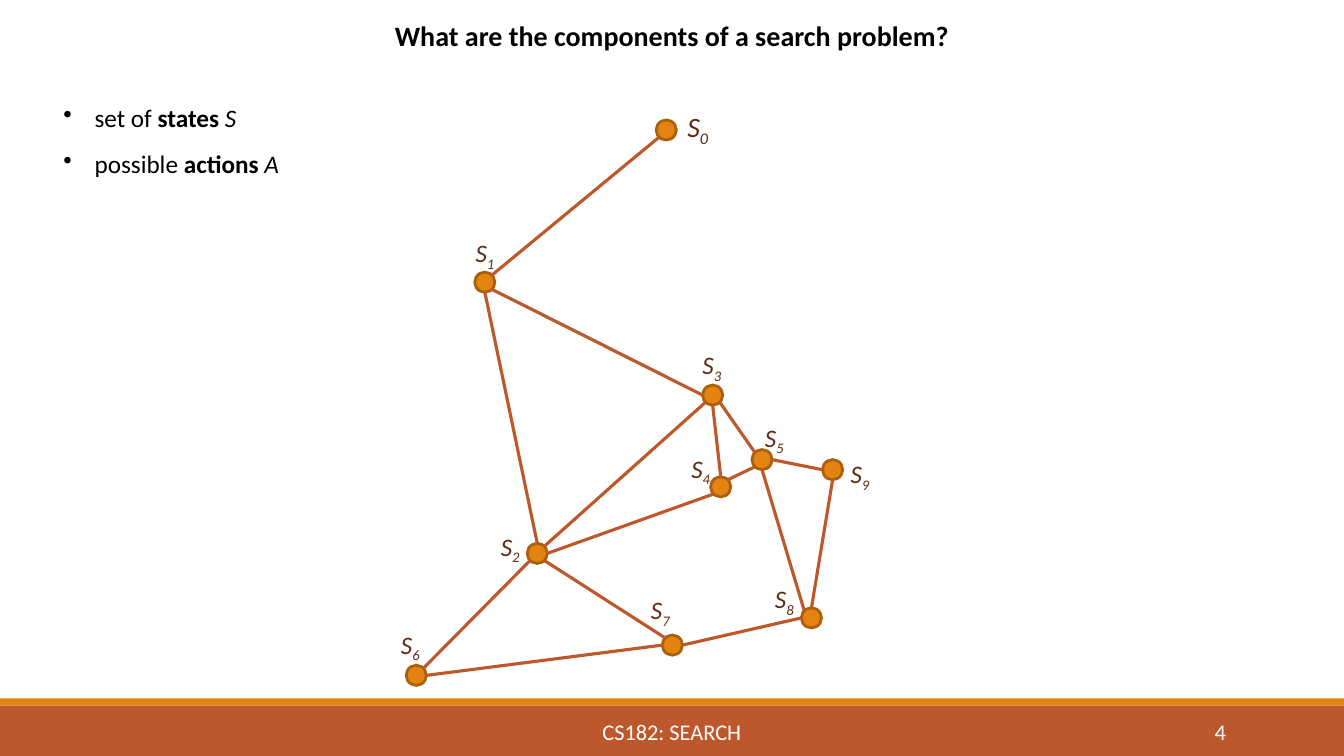
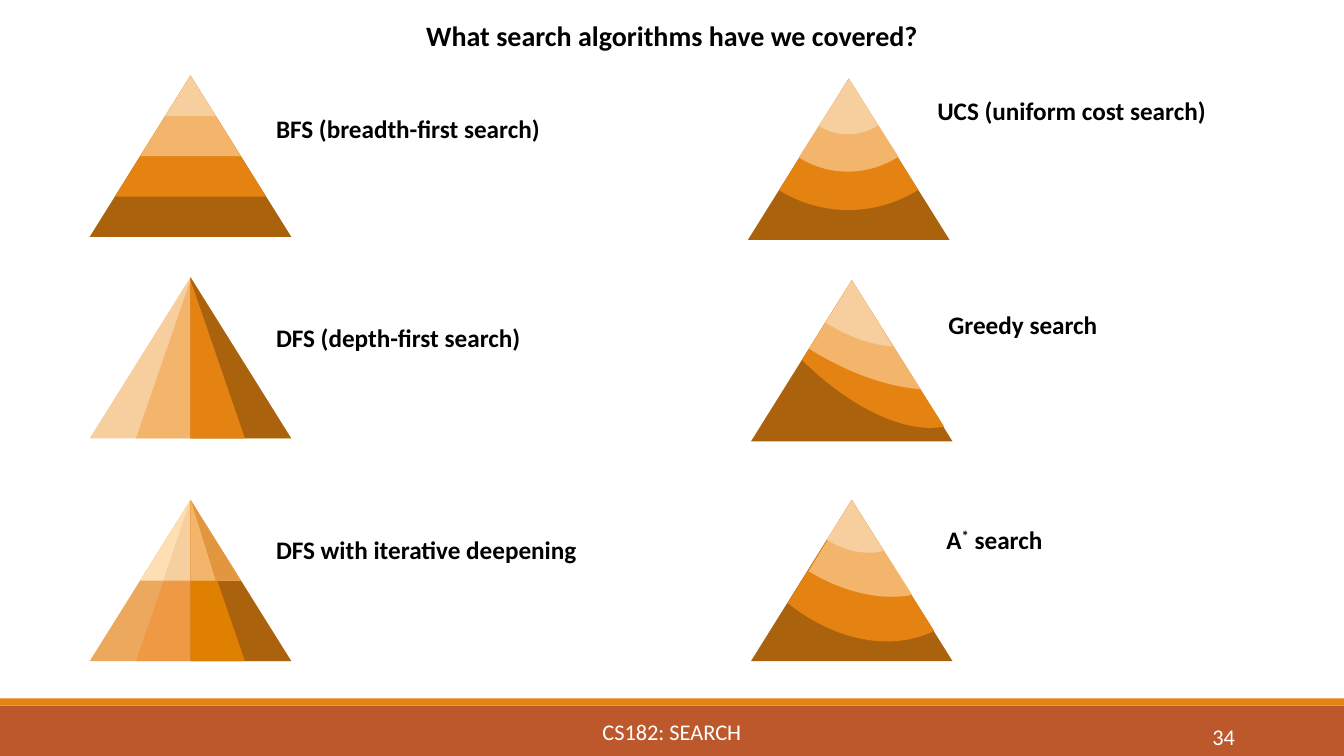
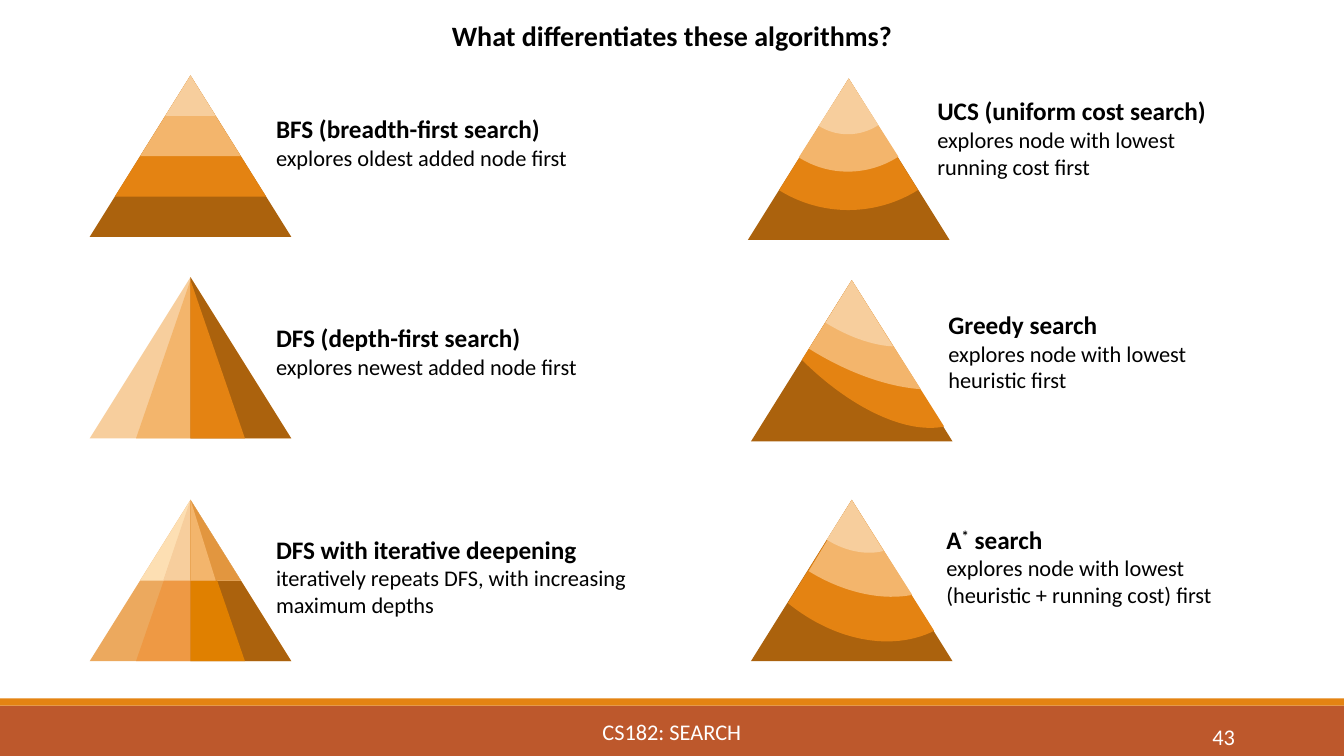
from dataclasses import dataclass

from lxml import etree
from pptx import Presentation
from pptx import util as u
from pptx.dml.color import RGBColor
from pptx.enum import shapes, text
from pptx.oxml import ns

SHAPE = shapes.MSO_SHAPE
ALIGN = text.PP_ALIGN
COLUMNS, ROWS = 133.33, 75


@dataclass(frozen=True)
class Theme:
    font: str = "Calibri"
    title: int = 20
    body: int = 18
    small: int = 16
    ink: str = "000000"
    paper: str = "FFFFFF"
    rust: str = "BD582C"
    brown: str = "5E2C16"
    rim: str = "A9610D"
    dark: str = "AB620D"
    orange: str = "E48312"
    light: str = "F3B56C"
    pale: str = "F7CE9D"
    cream: str = "FDDFB3"
    sand: str = "ECA95E"
    amber: str = "E08000"
    apricot: str = "EE9944"
    copper: str = "E2963F"
    rim_width: float = 2
    edge_width: float = 2.25


THEME = Theme()


class Deck:
    """Draws styled elements on the current slide, in grid columns and rows."""

    def __init__(self, theme):
        self.theme = theme
        self.presentation = Presentation()
        self.presentation.slide_width = self.cells(COLUMNS)
        self.presentation.slide_height = self.cells(ROWS)
        self.slide = None

    @staticmethod
    def cells(count):
        return u.Inches(count / 10)

    def new_slide(self, title, number, number_at):
        layout = self.presentation.slide_layouts[6]
        self.slide = self.presentation.slides.add_slide(layout)
        theme = self.theme
        self.shape(SHAPE.RECTANGLE, (0, 70, COLUMNS, 5), theme.rust)
        self.shape(SHAPE.RECTANGLE, (0, 69.3, COLUMNS, 0.7), theme.orange)
        footer = dict(size=theme.small, color=theme.paper, middle=True)
        self.text((40.3, 70.6, 52.7, 4), ["CS182: SEARCH"], align=ALIGN.CENTER, **footer)
        self.text((*number_at, 14.3, 4), [number], align=ALIGN.RIGHT, **footer)
        self.text((0, 1.3, COLUMNS, 4.4), [[(title, "b")]], size=theme.title, align=ALIGN.CENTER)

    def shape(self, kind, box, fill, rim=None):
        shape = self.slide.shapes.add_shape(kind, *map(self.cells, box))
        shape.shadow.inherit = False
        shape.fill.solid()
        shape.fill.fore_color.rgb = RGBColor.from_string(fill)
        if rim:
            shape.line.color.rgb = RGBColor.from_string(rim)
            shape.line.width = u.Pt(self.theme.rim_width)
        else:
            shape.line.fill.background()
        return shape

    def tier(self, apex, fill, width, height):
        x, y = apex
        self.shape(SHAPE.ISOSCELES_TRIANGLE, (x - width / 2, y, width, height), fill)

    def half(self, apex, fill, width, height, side="right", drop=0):
        x, y = apex
        left = x - width if side == "left" else x
        shape = self.shape(SHAPE.RIGHT_TRIANGLE, (left, y + drop, width, height), fill)
        if side == "left":
            shape._element.spPr.find(ns.qn("a:xfrm")).set("flipH", "1")

    def sector(self, apex, fill, width, height, turn, start, end):
        x, y = apex
        box = (x - width / 2, y - height / 2, width, height)
        shape = self.shape(SHAPE.PIE, box, fill)
        shape.rotation = turn
        shape.adjustments[0] = start * 0.6
        shape.adjustments[1] = end * 0.6

    def line(self, start, end):
        points = map(self.cells, (*start, *end))
        connector = self.slide.shapes.add_connector(shapes.MSO_CONNECTOR.STRAIGHT, *points)
        connector.line.color.rgb = RGBColor.from_string(self.theme.rust)
        connector.line.width = u.Pt(self.theme.edge_width)
        etree.SubElement(connector._element.spPr, ns.qn("a:effectLst"))

    def text(self, box, paragraphs, size=None, sizes=None, color=None, align=ALIGN.LEFT,
             middle=False, bullets=False):
        frame = self.slide.shapes.add_textbox(*map(self.cells, box)).text_frame
        frame.word_wrap = True
        if middle:
            frame.vertical_anchor = text.MSO_ANCHOR.MIDDLE
        for index, content in enumerate(paragraphs):
            paragraph = frame.add_paragraph() if index else frame.paragraphs[0]
            paragraph.alignment = align
            font = paragraph.font
            font.name = self.theme.font
            font.size = u.Pt(sizes[index] if sizes else size or self.theme.body)
            font.color.rgb = RGBColor.from_string(color or self.theme.ink)
            if bullets:
                self.bullet(paragraph)
            for part in [(content, "")] if isinstance(content, str) else content:
                self.run(paragraph, *part)

    def bullet(self, paragraph):
        paragraph.line_spacing = 1.5
        properties = paragraph._p.get_or_add_pPr()
        indent = self.cells(3.1)
        properties.set("marL", str(indent))
        properties.set("indent", str(-indent))
        mark = etree.Element(ns.qn("a:buChar"), char="•")
        properties.find(ns.qn("a:defRPr")).addprevious(mark)

    def run(self, paragraph, words, style="", baseline=0):
        run = paragraph.add_run()
        run.text = words
        if "b" in style:
            run.font.bold = True
        if "i" in style:
            run.font.italic = True
        if baseline:
            run._r.get_or_add_rPr().set("baseline", str(baseline * 1000))


NODE_RADIUS = 1
NODES = [
    ((66.1, 12.9), (67.2, 10.4)),
    ((48.1, 28), (46.2, 23.1)),
    ((53.3, 54.9), (48.7, 52.2)),
    ((70.7, 39.2), (68.7, 34.2)),
    ((71.5, 48.3), (67.6, 44.5)),
    ((75.6, 45.6), (74.9, 41.4)),
    ((41.3, 67), (38.8, 61.9)),
    ((66.7, 64), (63.6, 58.5)),
    ((80.5, 61.3), (75.9, 57.4)),
    ((82.6, 46.6), (83.4, 45)),
]
EDGES = [
    (0, "sw", 1, "ne"), (3, "w", 1, "se"), (2, "n", 1, "s"), (3, "sw", 2, "ne"),
    (6, "ne", 2, "sw"), (7, "nw", 2, "se"), (3, "s", 4, "n"), (9, "w", 5, "e"),
    (8, "n", 9, "s"), (8, "nw", 5, "s"), (8, "w", 7, "e"), (2, "e", 4, "sw"),
    (7, "w", 6, "e"), (5, "nw", 3, "se"), (5, "sw", 4, "ne"),
]


def rim_point(node, compass):
    (x, y), _ = NODES[node]
    reach = NODE_RADIUS * (0.71 if len(compass) == 2 else 1)
    across = ("e" in compass) - ("w" in compass)
    down = ("s" in compass) - ("n" in compass)
    return x + reach * across, y + reach * down


def draw_graph(deck):
    theme = deck.theme
    for (x, y), _ in NODES:
        box = (x - NODE_RADIUS, y - NODE_RADIUS, 2 * NODE_RADIUS, 2 * NODE_RADIUS)
        deck.shape(SHAPE.OVAL, box, theme.orange, theme.rim)
    for index, (_, corner) in enumerate(NODES):
        label = [("S", "i"), (str(index), "i", -25)]
        size = theme.body if index else theme.title
        deck.text((*corner, 4.6, 4.4), [label], size=size, color=theme.brown)
    for first, first_side, second, second_side in EDGES:
        deck.line(rim_point(first, first_side), rim_point(second, second_side))


def draw_breadth(deck, apex):
    theme = deck.theme
    for step, fill in enumerate((theme.dark, theme.orange, theme.light, theme.pale)):
        share = 1 - step / 4
        deck.tier(apex, fill, 20 * share, 16 * share)


def draw_depth(deck, apex):
    theme = deck.theme
    deck.tier(apex, theme.pale, 20, 16)
    deck.half(apex, theme.dark, 10, 16)
    deck.half(apex, theme.light, 5.4, 15.7, "left", drop=0.3)
    deck.half(apex, theme.orange, 5.4, 15.7, drop=0.3)


def draw_deepening(deck, apex):
    theme = deck.theme
    deck.tier(apex, theme.sand, 20, 16)
    deck.half(apex, theme.dark, 10, 16)
    deck.tier(apex, theme.cream, 10, 8)
    deck.half(apex, theme.amber, 5.4, 15.7, drop=0.3)
    deck.half(apex, theme.apricot, 5.4, 15.7, "left", drop=0.3)
    deck.half(apex, theme.pale, 2.7, 8, "left")
    deck.half(apex, theme.copper, 5, 8)
    deck.half(apex, theme.light, 2.5, 8)


def draw_sectors(deck, apex, sectors):
    theme = deck.theme
    deck.tier(apex, theme.dark, 20, 16)
    for fill, sector in zip((theme.orange, theme.light, theme.pale), sectors):
        deck.sector(apex, fill, *sector)


def draw_uniform(deck, apex):
    draw_sectors(deck, apex, [
        (26, 26.1, 212.3, 205.78, 269.69),
        (18.3, 18.5, 212.3, 205.24, 270.1),
        (10.9, 11.1, 212.3, 205.24, 270.1),
    ])


def draw_greedy(deck, apex):
    draw_sectors(deck, apex, [
        (35.3, 18, 229.5, 188.22, 252.63),
        (31.7, 16, 212.3, 205.35, 269.75),
        (19, 9.9, 212.3, 205.76, 269.46),
    ])


def draw_star(deck, apex):
    draw_sectors(deck, apex, [
        (30.9, 23.6, 229.5, 188.3, 252.3),
        (24.7, 16.5, 212.3, 205.24, 268.9),
        (12.9, 9.3, 212.3, 205.76, 270),
    ])


ALGORITHMS = [
    (draw_breadth, (18.9, 7.5), (26.4, 10.8, 35.3, 6.7),
     [("BFS (breadth-first search)", "b")], "explores oldest added node first"),
    (draw_depth, (18.9, 27.5), (26.4, 31.5, 35.3, 9.8),
     [("DFS (depth-first search)", "b")], "explores newest added node first"),
    (draw_deepening, (18.9, 49.6), (26.4, 52.5, 37.6, 12.5),
     [("DFS with iterative deepening", "b")],
     "iteratively repeats DFS, with increasing maximum depths"),
    (draw_uniform, (84.2, 7.8), (92, 9, 30.6, 12.8),
     [("UCS (uniform cost search)", "b")], "explores node with lowest running cost first"),
    (draw_greedy, (84.5, 27.8), (93.1, 30.2, 31.9, 12.1),
     [("Greedy search", "b")], "explores node with lowest heuristic first"),
    (draw_star, (84.5, 49.6), (92.9, 51.5, 30.6, 9.4),
     [("A", "b"), ("*", "b", 30), (" search", "b")],
     "explores node with lowest (heuristic + running cost) first"),
]


def draw_algorithms(deck, explained):
    sizes = (deck.theme.body, deck.theme.small)
    for draw, apex, box, name, rule in ALGORITHMS:
        draw(deck, apex)
        deck.text(box, [name, rule] if explained else [name], sizes=sizes)


def main():
    deck = Deck(THEME)
    deck.new_slide("What are the components of a search problem?", "4", (108.3, 70.6))
    deck.text((5.3, 8.2, 42.8, 10.1), [
        [("set of ",), ("states ", "b"), ("S", "i")],
        [("possible ",), ("actions ", "b"), ("A", "i")],
    ], bullets=True)
    draw_graph(deck)

    deck.new_slide("What search algorithms have we covered?", "34", (109.2, 71.1))
    draw_algorithms(deck, explained=False)

    deck.new_slide("What differentiates these algorithms?", "43", (109.2, 71.1))
    draw_algorithms(deck, explained=True)

    deck.presentation.save("out.pptx")


if __name__ == "__main__":
    main()
